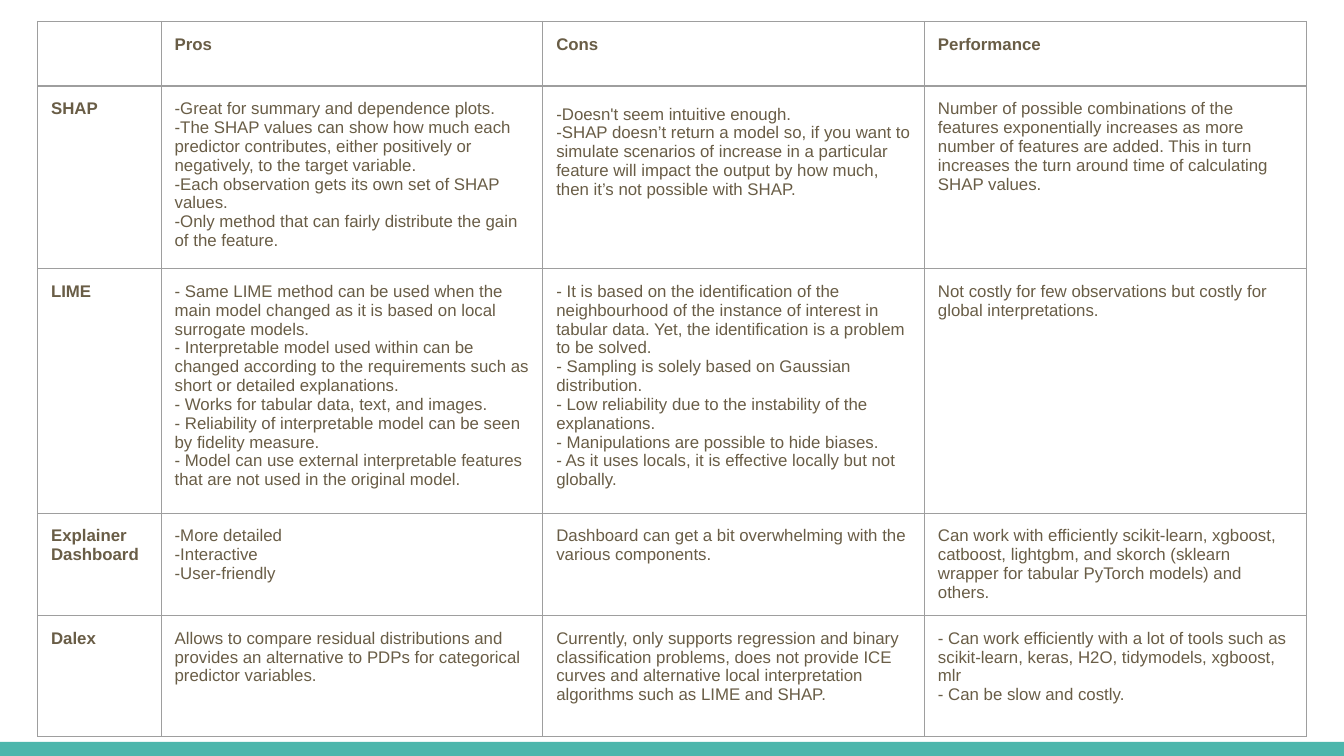
"""Build a slide with a comparison table of model explanation tools."""
from lxml.etree import SubElement
from pptx import Presentation
from pptx.dml.color import RGBColor
from pptx.enum.shapes import MSO_SHAPE
from pptx.oxml.ns import qn
from pptx.util import Inches, Pt

LINE = "9E9E9E"
TEXT = "695D46"
TEAL = "4DB6AC"

COLS = [0.92, 2.84, 2.84, 2.84]
ROWS = [0.48, 1.36, 1.82, 0.76, 0.9]
CELLS = [
    [[], ["Pros"], ["Cons"], ["Performance"]],
    [
        ["SHAP"],
        [
            "-Great for summary and dependence plots.",
            "-The SHAP values can show how much each predictor contributes, "
            "either positively or negatively, to the target variable.",
            "-Each observation gets its own set of SHAP values.",
            "-Only method that can fairly distribute the gain of the feature.",
        ],
        [
            "-Doesn't seem intuitive enough.",
            "-SHAP doesn’t return a model so, if you want to simulate scenarios "
            "of increase in a particular feature will impact the output by how "
            "much, then it’s not possible with SHAP.",
        ],
        [
            "Number of possible combinations of the features exponentially "
            "increases as more number of features are added. This in turn "
            "increases the turn around time of calculating SHAP values.",
        ],
    ],
    [
        ["LIME"],
        [
            "- Same LIME method can be used when the main model changed as it "
            "is based on local surrogate models.",
            "- Interpretable model used within can be changed according to the "
            "requirements such as short or detailed explanations.",
            "- Works for tabular data, text, and images.",
            "- Reliability of interpretable model can be seen by fidelity measure.",
            "- Model can use external interpretable features that are not used "
            "in the original model.",
        ],
        [
            "- It is based on the identification of the neighbourhood of the "
            "instance of interest in tabular data. Yet, the identification is a "
            "problem to be solved.",
            "- Sampling is solely based on Gaussian distribution.",
            "- Low reliability due to the instability of the explanations.",
            "- Manipulations are possible to hide biases.",
            "- As it uses locals, it is effective locally but not globally.",
        ],
        [
            "Not costly for few observations but costly for global interpretations.",
        ],
    ],
    [
        ["Explainer Dashboard"],
        ["-More detailed", "-Interactive", "-User-friendly"],
        ["Dashboard can get a bit overwhelming with the various components."],
        [
            "Can work with efficiently scikit-learn, xgboost, catboost, lightgbm, "
            "and skorch (sklearn wrapper for tabular PyTorch models) and others.",
        ],
    ],
    [
        ["Dalex"],
        [
            "Allows to compare residual distributions and provides an alternative "
            "to PDPs for categorical predictor variables.",
        ],
        [
            "Currently, only supports regression and binary classification "
            "problems, does not provide ICE curves and alternative local "
            "interpretation algorithms such as LIME and SHAP.",
        ],
        [
            "- Can work efficiently with a lot of tools such as scikit-learn, "
            "keras, H2O, tidymodels, xgboost, mlr",
            "- Can be slow and costly.",
        ],
    ],
]


def rgb(color):
    return RGBColor.from_string(color)


def write(p, text, size=9, font="Arial", color=TEXT, bold=False, spacing=None):
    if spacing:
        p.line_spacing = spacing
    r = p.add_run()
    r.text = text
    r.font.size = Pt(size)
    r.font.name = font
    r.font.bold = bold
    r.font.color.rgb = rgb(color)


prs = Presentation()
prs.slide_width, prs.slide_height = Inches(10), Inches(10 * 9 / 16)
s = prs.slides.add_slide(prs.slide_layouts[6])

bar = s.shapes.add_shape(MSO_SHAPE.RECTANGLE, Inches(0), Inches(5.52), Inches(10), Inches(0.11))
bar.shadow.inherit = False
bar.fill.solid()
bar.fill.fore_color.rgb = rgb(TEAL)
bar.line.fill.background()

table = s.shapes.add_table(
    len(ROWS), len(COLS), Inches(0.28), Inches(0.16), Inches(sum(COLS)), Inches(sum(ROWS))
).table
table.first_row = table.horz_banding = False
for col, width in zip(table.columns, COLS):
    col.width = Inches(width)
for row, height in zip(table.rows, ROWS):
    row.height = Inches(height)

for i, row in enumerate(CELLS):
    for j, lines in enumerate(row):
        cell = table.cell(i, j)
        cell.margin_left = cell.margin_right = Inches(0.1)
        cell.margin_top = cell.margin_bottom = Inches(0.1)
        tcPr = cell._tc.get_or_add_tcPr()
        for side in ("a:lnL", "a:lnR", "a:lnT", "a:lnB"):
            ln = SubElement(tcPr, qn(side), w=str(Pt(0.75)))
            SubElement(SubElement(ln, qn("a:solidFill")), qn("a:srgbClr"), val=LINE)
        cell.fill.background()
        tf = cell.text_frame
        if not lines:
            SubElement(tf.paragraphs[0]._p, qn("a:endParaRPr"), sz="900")
        for n, text in enumerate(lines):
            p = tf.add_paragraph() if n else tf.paragraphs[0]
            loose = (i, j, n) == (1, 2, 0)
            write(p, text, bold=i == 0 or j == 0, spacing=1.29 if loose else None)

prs.save("out.pptx")
